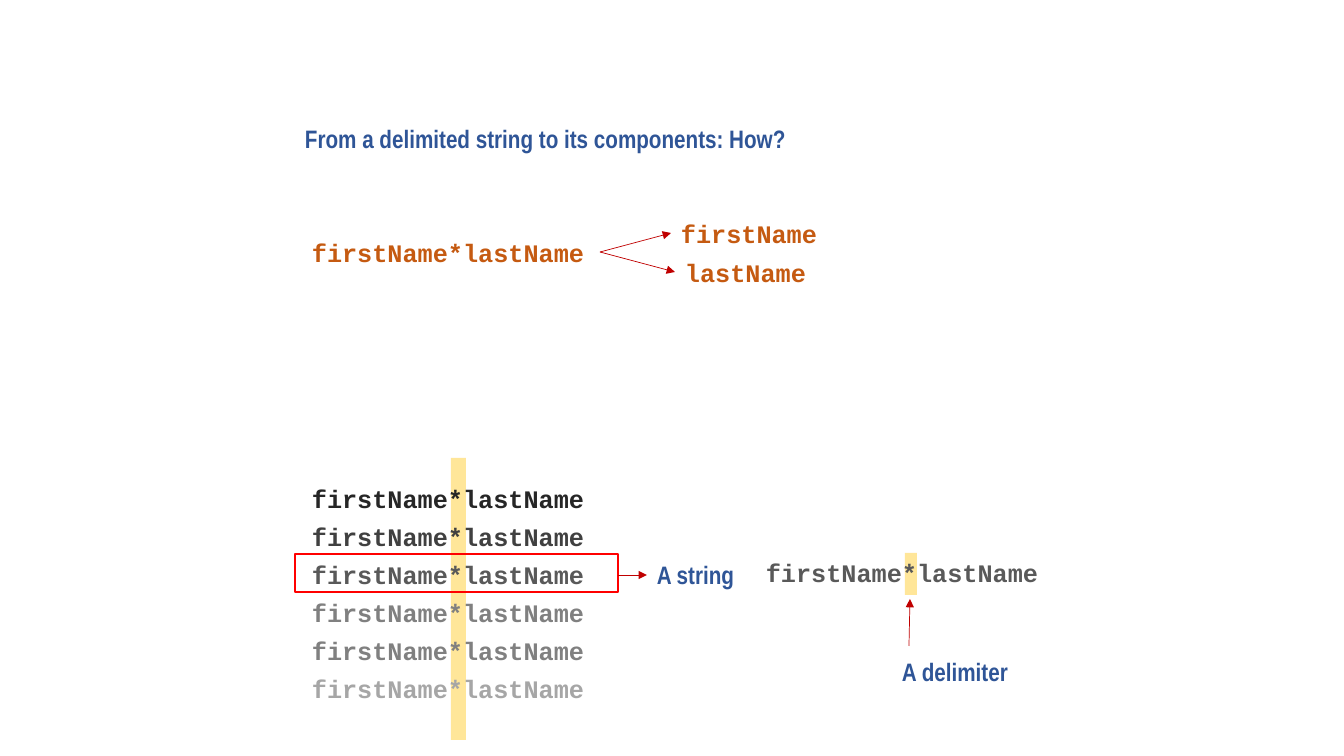
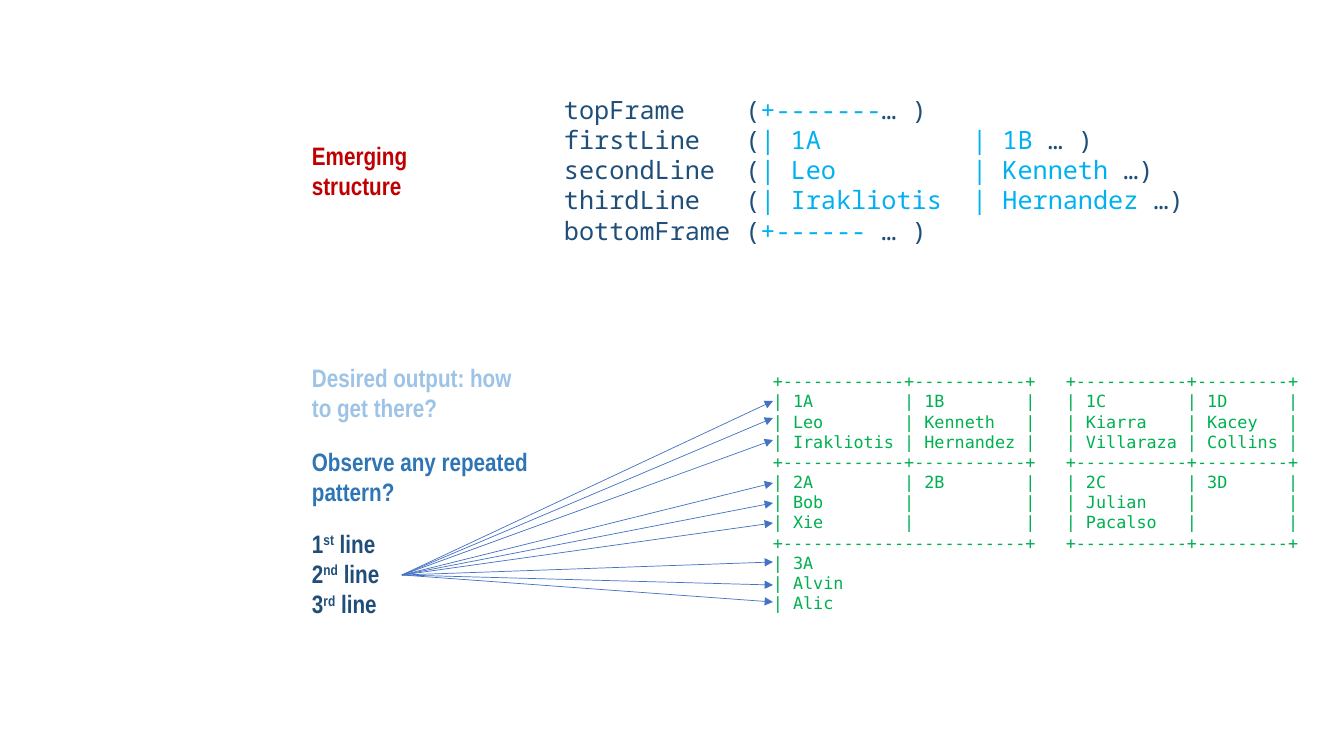
import pptx
import pptx.util
import pptx.dml.color
import pptx.enum.shapes
import pptx.enum.text
import pptx.oxml.ns
import lxml.etree

SCALE = 914400 / 100.8
COLORS = {
    "highlight": "FFE699", "frame": "FF0000", "arrow": "C00000", "label": "2F5597",
    "code": "C55A11", "fan": "4472C4", "table": "00B050", "pale": "9DC3E6",
    "mid": "2E75B6", "dark": "1F4E79", "cyan": "00B0F0",
    "ink1": "262626", "ink2": "404040", "ink3": "595959", "ink4": "808080", "ink5": "A6A6A6",
}
FORMATS = {
    "label": {"name": "Arial Narrow", "size": pptx.util.Pt(18), "bold": True},
    "code": {"name": "Courier New", "size": pptx.util.Pt(18), "bold": True},
    "table": {"name": "DejaVu Sans Mono", "size": pptx.util.Pt(12)},
    "outline": {"name": "Noto Sans Mono", "size": pptx.util.Pt(18)},
}


def px(n):
    return pptx.util.Emu(round(n * SCALE))


def rgb(color):
    return pptx.dml.color.RGBColor.from_string(COLORS[color])


class Deck:
    def __init__(self):
        self.prs = pptx.Presentation()
        self.prs.slide_width, self.prs.slide_height = px(1344), px(756)
        self.slide = None

    def new_slide(self):
        self.slide = self.prs.slides.add_slide(self.prs.slide_layouts[6])

    def text(self, box, lines, style, color, wrap=True):
        tf = self.slide.shapes.add_textbox(*map(px, box)).text_frame
        tf.word_wrap = wrap
        tf.auto_size = pptx.enum.text.MSO_AUTO_SIZE.SHAPE_TO_FIT_TEXT
        for i, line in enumerate(lines):
            p = tf.add_paragraph() if i else tf.paragraphs[0]
            for run in [(line,)] if isinstance(line, str) else line:
                self.run(p, style, *run, default=color)

    def run(self, p, style, text, color=None, raised=False, default=None):
        r = p.add_run()
        r.text = text
        for key, value in FORMATS[style].items():
            setattr(r.font, key, value)
        r.font.color.rgb = rgb(color or default)
        if raised:
            r.font._element.set("baseline", "30000")

    def rect(self, box, fill=None, line=None):
        sp = self.slide.shapes.add_shape(pptx.enum.shapes.MSO_SHAPE.RECTANGLE, *map(px, box))
        sp.shadow.inherit = False
        if fill:
            sp.fill.solid()
            sp.fill.fore_color.rgb = rgb(fill)
        else:
            sp.fill.background()
        if line:
            sp.line.color.rgb = rgb(line)
            sp.line.width = pptx.util.Pt(1)
        else:
            sp.line.fill.background()

    def arrow(self, start, end, color):
        cx = self.slide.shapes.add_connector(
            pptx.enum.shapes.MSO_CONNECTOR.STRAIGHT, *map(px, start + end))
        cx.line.color.rgb = rgb(color)
        cx.line.width = pptx.util.Pt(0.5)
        qn = pptx.oxml.ns.qn
        lxml.etree.SubElement(cx.line._get_or_add_ln(), qn("a:tailEnd"), type="triangle")
        lxml.etree.SubElement(cx._element.spPr, qn("a:effectLst"))


def border(*widths):
    return "+" + "".join("-" * w + "+" for w in widths)


def row(a, b, c, d):
    return f"| {a:<10} | {b:<9} |{'':3}| {c:<9} | {d:<7} |"


def pair(left, right):
    return f"{left}{'':3}{right}"


def outline(name, body, ending):
    return [(f"{name:<12}(",), (body, "cyan"), (ending,)]


def cells(a, b):
    return f"| {a:<12}| {b}"


deck = Deck()

deck.new_slide()
deck.rect((905, 553, 12, 42), fill="highlight")
deck.rect((451, 458, 15, 282), fill="highlight")
full_name = "firstName*lastName"
for i, ink in enumerate(["ink1", "ink2", "ink3", "ink4", "ink4", "ink5"]):
    deck.text((302, 478 + 38 * i, 307, 40), [full_name], "code", ink)
deck.text((647, 554, 194, 40), ["A string"], "label", "label")
deck.rect((295, 554, 323, 38), line="frame")
deck.text((756, 552, 307, 40), [full_name], "code", "ink3")
deck.text((892, 651, 194, 40), ["A delimiter"], "label", "label")
deck.text((302, 232, 297, 40), [full_name], "code", "code", wrap=False)
deck.text((675, 252, 143, 40), ["lastName"], "code", "code", wrap=False)
deck.text((671, 213, 158, 40), ["firstName"], "code", "code", wrap=False)
for start, end in [((618, 575), (647, 575)), ((909, 646), (910, 599)),
                   ((600, 252), (671, 233)), ((600, 252), (675, 272))]:
    deck.arrow(start, end, "arrow")
deck.text((295, 118, 590, 40), ["From a delimited string to its components: How?"], "label", "label")

deck.new_slide()
right_border = border(11, 9)
deck.text((763, 366, 556, 254), [
    pair(border(12, 11), right_border),
    row("1A", "1B", "1C", "1D"),
    row("Leo", "Kenneth", "Kiarra", "Kacey"),
    row("Irakliotis", "Hernandez", "Villaraza", "Collins"),
    pair(border(12, 11), right_border),
    row("2A", "2B", "2C", "3D"),
    row("Bob", "", "Julian", ""),
    row("Xie", "", "Pacalso", ""),
    pair(border(24), right_border),
    "| 3A", "| Alvin", "| Alic",
], "table", "table")
deck.text((302, 357, 243, 72), ["Desired output: how to get there?"], "label", "pale")
deck.text((302, 441, 243, 72), ["Observe any repeated pattern?"], "label", "mid")
deck.text((302, 523, 100, 102),
          [[(n,), (suffix, None, True), (" line",)]
           for n, suffix in [("1", "st"), ("2", "nd"), ("3", "rd")]], "label", "dark")
for y in [401, 418, 440, 483, 503, 523, 562, 585, 602]:
    deck.arrow((402, 575), (773, y), "fan")
deck.text((302, 135, 134, 72), ["Emerging structure"], "label", "arrow")
deck.text((554, 89, 655, 163), [
    outline("topFrame", "+-------", "… )"),
    outline("firstLine", cells("1A", "1B"), " … )"),
    outline("secondLine", cells("Leo", "Kenneth"), " …)"),
    outline("thirdLine", cells("Irakliotis", "Hernandez"), " …)"),
    outline("bottomFrame", "+------", " … )"),
], "outline", "dark")

deck.prs.save("out.pptx")
